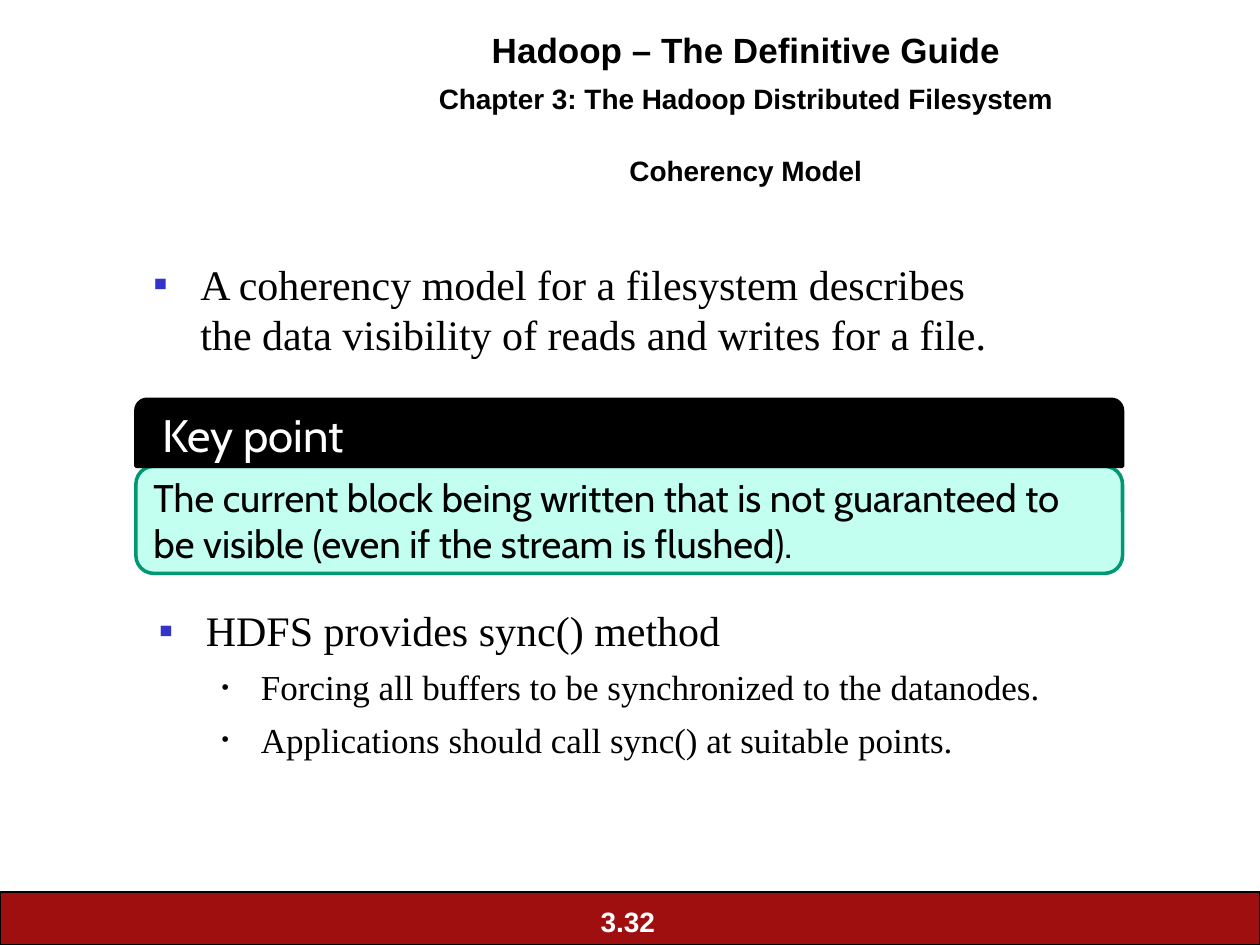
"""Build the Coherency Model slide."""
from lxml import etree
from pptx import Presentation
from pptx.dml.color import RGBColor
from pptx.enum.shapes import MSO_SHAPE as Preset
from pptx.enum.text import MSO_ANCHOR as Anchor, PP_ALIGN as Align
from pptx.oxml.ns import qn
from pptx.util import Cm, Pt

BLACK, WHITE = "000000", "FFFFFF"
BODY_FONT, BOX_FONT = "Times New Roman", "Cabin"


def color(value):
    return RGBColor.from_string(value)


def add_bullet(paragraph, char, left, hanging, tint=BLACK, percent=100):
    properties = paragraph._p.get_or_add_pPr()
    properties.set("marL", str(Cm(left)))
    properties.set("indent", str(-Cm(hanging)))
    bullet_color = etree.SubElement(properties, qn("a:buClr"))
    etree.SubElement(bullet_color, qn("a:srgbClr"), val=tint)
    etree.SubElement(properties, qn("a:buSzPct"), val=str(percent * 1000))
    etree.SubElement(properties, qn("a:buFont"), typeface="Arial")
    etree.SubElement(properties, qn("a:buChar"), char=char)


def write(frame, text, size, font="Arial", tint=BLACK, bold=False,
          align=Align.LEFT, before=0, bullet=None):
    """Write text in the frame's first paragraph, or in a new one once that is used."""
    paragraph = frame.paragraphs[0]
    if paragraph.runs:
        paragraph = frame.add_paragraph()
    if bullet:
        add_bullet(paragraph, **bullet)
    paragraph.alignment = align
    paragraph.space_before = Pt(before)
    run = paragraph.add_run()
    run.text = text
    run.font.size = Pt(size)
    run.font.name = font
    run.font.bold = bold
    run.font.color.rgb = color(tint)


def add_text_box(slide, left, top, width, height, anchor=Anchor.TOP):
    box = slide.shapes.add_textbox(Cm(left), Cm(top), Cm(width), Cm(height))
    frame = box.text_frame
    frame.word_wrap = True
    frame.vertical_anchor = anchor
    return frame


def add_box(slide, preset, left, top, width, height, fill, line, line_width):
    shape = slide.shapes.add_shape(preset, Cm(left), Cm(top), Cm(width), Cm(height))
    shape.shadow.inherit = False
    shape.fill.solid()
    shape.fill.fore_color.rgb = color(fill)
    shape.line.color.rgb = color(line)
    shape.line.width = Pt(line_width)
    frame = shape.text_frame
    frame.word_wrap = True
    frame.vertical_anchor = Anchor.MIDDLE
    return frame


def add_key_point(slide, left, top, width, title, text):
    title_height, text_height = 1.35, 2.16
    body = add_box(slide, Preset.ROUNDED_RECTANGLE, left, top + title_height,
                   width, text_height, "C2FFF0", "009771", 2)
    write(body, text, 22, BOX_FONT)
    heading = add_box(slide, Preset.ROUND_2_SAME_RECTANGLE, left, top,
                      width, title_height, BLACK, BLACK, 2)
    heading.margin_left = Cm(0.47)
    write(heading, title, 26, BOX_FONT, WHITE)


def main():
    presentation = Presentation()
    presentation.slide_width, presentation.slide_height = Cm(25.4), Cm(19.05)
    slide = presentation.slides.add_slide(presentation.slide_layouts[6])

    add_box(slide, Preset.RECTANGLE, 0, 17.98, 25.4, 1.07, "9F0F10", BLACK, 0.75)
    page_number = add_text_box(slide, 11.86, 18.11, 1.93, 0.94)
    page_number.word_wrap = False
    write(page_number, "3.32", 16, tint=WHITE, bold=True)

    heading = {"bold": True, "align": Align.CENTER}
    header = add_text_box(slide, 4.88, 0.56, 20.32, 1.78, Anchor.MIDDLE)
    write(header, "Hadoop – The Definitive Guide", 20, **heading)
    write(header, "Chapter 3: The Hadoop Distributed Filesystem", 16, before=6, **heading)
    title = add_text_box(slide, 10.59, 2.97, 8.89, 0.97)
    write(title, "Coherency Model", 16, **heading)

    square = {"char": "▪", "left": 0.95, "hanging": 0.95, "tint": "3333CC"}
    dot = {"char": "•", "left": 2.06, "hanging": 0.79, "percent": 60}
    definition = add_text_box(slide, 2.84, 5.08, 17.91, 2.54)
    write(definition, "A coherency model for a filesystem describes the data visibility "
          "of reads and writes for a file.", 24, BODY_FONT, bullet=square)

    add_key_point(slide, 2.74, 8.05, 19.89, "Key point",
                  "The current block being written that is not guaranteed to be visible "
                  "(even if the stream is flushed).")

    method = add_text_box(slide, 2.95, 12.07, 18.85, 3.81)
    write(method, "HDFS provides sync() method", 24, BODY_FONT, bullet=square)
    for text in ("Forcing all buffers to be synchronized to the datanodes.",
                 "Applications should call sync() at suitable points."):
        write(method, text, 20, BODY_FONT, before=6, bullet=dot)

    presentation.save("out.pptx")


if __name__ == "__main__":
    main()
